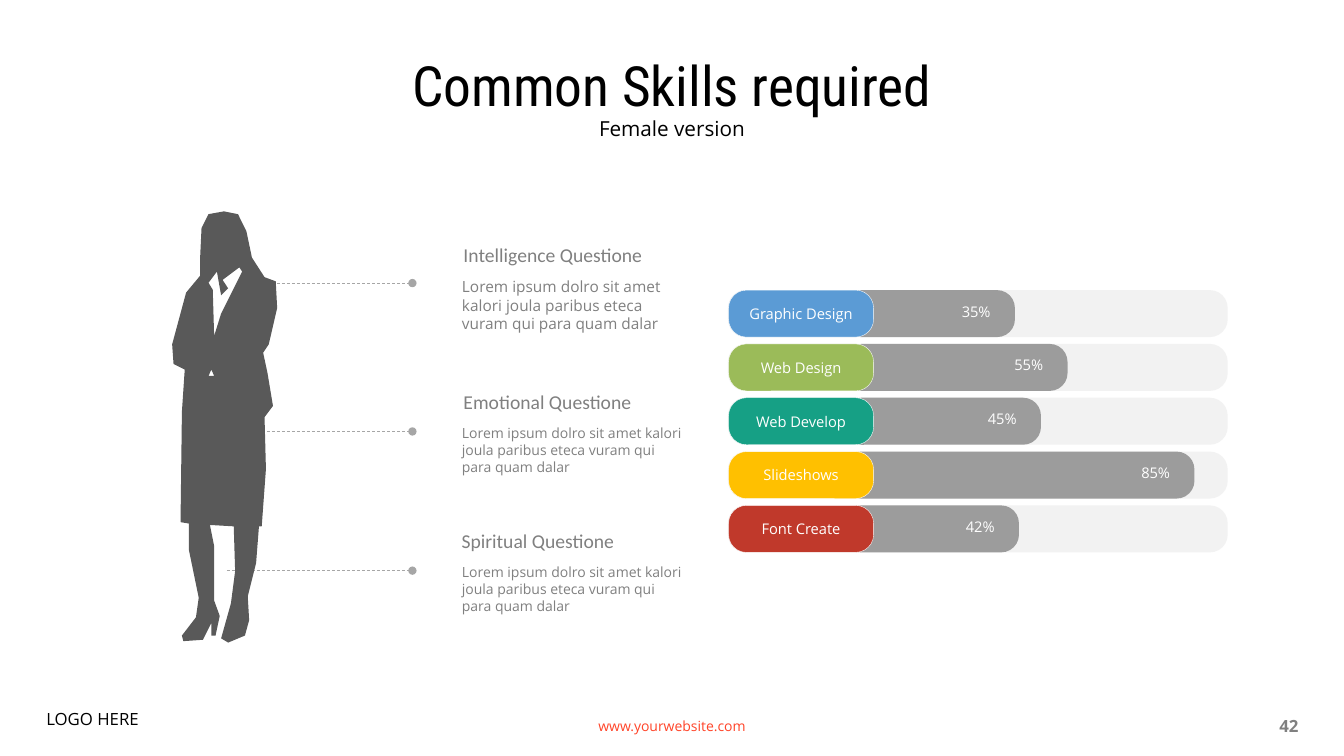
from lxml.etree import SubElement
from pptx import Presentation
from pptx.dml.color import RGBColor
from pptx.enum.dml import MSO_LINE
from pptx.enum.shapes import MSO_CONNECTOR, MSO_SHAPE
from pptx.enum.text import MSO_ANCHOR, MSO_AUTO_SIZE, PP_ALIGN
from pptx.oxml.ns import qn
from pptx.util import Pt

BLACK = RGBColor(0x00, 0x00, 0x00)
WHITE = RGBColor(0xFF, 0xFF, 0xFF)
GRAY = RGBColor(0x80, 0x80, 0x80)
LINE_GRAY = RGBColor(0xA6, 0xA6, 0xA6)
TRACK_GRAY = RGBColor(0xF2, 0xF2, 0xF2)
FIGURE_GRAY = RGBColor(0x59, 0x59, 0x59)
LINK_RED = RGBColor(0xFF, 0x44, 0x29)
BLUE = RGBColor(0x5B, 0x9B, 0xD5)
GREEN = RGBColor(0x9B, 0xBB, 0x59)
TEAL = RGBColor(0x16, 0xA0, 0x85)
YELLOW = RGBColor(0xFF, 0xC0, 0x00)
RED = RGBColor(0xC0, 0x39, 0x2B)

presentation = Presentation()
presentation.slide_width, presentation.slide_height = Pt(960), Pt(540)
slide = presentation.slides.add_slide(presentation.slide_layouts[5])


def write(shape, text, size, color, font="Open Sans", align=PP_ALIGN.LEFT,
          anchor=MSO_ANCHOR.TOP, inset=True):
    frame = shape.text_frame
    frame.word_wrap = True
    frame.auto_size = MSO_AUTO_SIZE.NONE
    frame.vertical_anchor = anchor
    if not inset:
        frame.margin_left = frame.margin_right = frame.margin_top = frame.margin_bottom = 0
    frame.text = text
    paragraph = frame.paragraphs[0]
    paragraph.alignment = align
    paragraph.font.size = Pt(size)
    paragraph.font.name = font
    paragraph.font.color.rgb = color
    return paragraph


def add_bar(left, top, width, color):
    shape = slide.shapes.add_shape(MSO_SHAPE.ROUNDED_RECTANGLE,
                                   Pt(left), Pt(top), Pt(width), Pt(33.6))
    shape.adjustments[0] = 0.38
    shape.shadow.inherit = False
    shape.fill.solid()
    shape.fill.fore_color.rgb = color
    shape.line.fill.background()
    return shape


# Title and subtitle
title = slide.shapes.title
title.left, title.top, title.width, title.height = Pt(66), Pt(44.6), Pt(828), Pt(37.4)
paragraph = write(title, "Common Skills required", 39.6, BLACK, "Roboto Condensed",
                  PP_ALIGN.CENTER, MSO_ANCHOR.MIDDLE)
paragraph.line_spacing = 0.9
subtitle = slide.shapes.add_textbox(Pt(66), Pt(82.8), Pt(828), Pt(23))
paragraph = write(subtitle, "Female version", 14.8, BLACK, align=PP_ALIGN.CENTER)
paragraph.line_spacing = 0.8

# Dashed leaders from the figure
for start, height in [(180, 202.2), (180, 308.2), (162, 407.6)]:
    leader = slide.shapes.add_connector(MSO_CONNECTOR.STRAIGHT, Pt(start), Pt(height),
                                        Pt(294.6), Pt(height))
    leader.line.color.rgb = LINE_GRAY
    leader.line.width = Pt(0.5)
    leader.line.dash_style = MSO_LINE.DASH
    SubElement(leader._element.spPr.find(qn("a:ln")), qn("a:tailEnd"), type="oval")
    SubElement(leader._element.spPr, qn("a:effectLst"))

# Questions
LOREM = "Lorem ipsum dolro sit amet kalori joula paribus eteca vuram qui para quam dalar"
questions = [
    ("Intelligence Questione", 324, 171.4, 11),
    ("Emotional Questione", 324, 276.5, 10),
    ("Spiritual Questione", 322.6, 375.8, 10),
]
for heading, left, top, body_size in questions:
    heading_box = slide.shapes.add_textbox(Pt(left), Pt(top), Pt(177), Pt(21))
    write(heading_box, heading, 14, GRAY, "Calibri", anchor=MSO_ANCHOR.MIDDLE)
    body_box = slide.shapes.add_textbox(Pt(330), Pt(top + 26.6), Pt(160.6), Pt(40))
    write(body_box, LOREM, body_size, GRAY, inset=False)

# Skill bars: label, colour, bar width, percentage
skills = [
    ("Graphic Design", BLUE, 122.4, "35%"),
    ("Web Design", GREEN, 160, "55%"),
    ("Web Develop", TEAL, 141, "45%"),
    ("Slideshows", YELLOW, 250.6, "85%"),
    ("Font Create", RED, 125.3, "42%"),
]
for row, (label, color, width, percent) in enumerate(skills):
    top = 207.2 + 38.45 * row
    add_bar(520, top, 357, TRACK_GRAY)
    level = add_bar(602.6, top, width, GRAY)
    level_color = level._element.spPr.find(qn("a:solidFill"))[0]
    SubElement(level_color, qn("a:alpha"), val="75000")
    tab = add_bar(520.4, top, 103.6, color)
    tab.line.color.rgb = WHITE
    tab.line.width = Pt(0.25)
    write(tab, label, 10.5, WHITE, align=PP_ALIGN.CENTER, anchor=MSO_ANCHOR.MIDDLE, inset=False)
    percent_box = slide.shapes.add_textbox(Pt(564.6 + width), Pt(top + 8.8), Pt(35.3), Pt(13))
    write(percent_box, percent, 10.5, WHITE, inset=False)

# Woman's silhouette with openings at the waist and blouse
body = [
    (192, 246), (198, 220), (197, 201), (189, 198), (180, 184), (176, 165), (170, 153),
    (160, 151), (149, 153), (144, 163), (143, 184), (143, 197), (133, 209), (123, 246),
    (124, 260), (132, 264), (130, 294), (129, 373), (135, 374), (135, 393), (142, 427),
    (140, 441), (130, 454), (131, 458), (145, 457), (151, 445), (151, 454), (154, 454),
    (157, 440), (153, 429), (153, 390), (150, 375), (167, 376), (168, 408), (165, 431),
    (158, 456), (163, 459), (175, 454), (178, 443), (177, 426), (183, 402), (185, 376),
    (187, 376), (190, 335), (189, 298), (195, 290), (191, 266), (188, 252),
]
waist = [(149, 268.5), (151, 264), (153, 268.5)]
blouse = [(173, 194), (158, 224), (153, 240), (152, 207), (149, 202), (155, 194),
          (158, 211), (163, 206), (159, 200), (171, 191)]
builder = slide.shapes.build_freeform(Pt(body[0][0]), Pt(body[0][1]))
for outline in (body, waist, blouse):
    points = [(Pt(x), Pt(y)) for x, y in outline]
    if outline is not body:
        builder.move_to(*points[0])
    builder.add_line_segments(points[1:], close=True)
woman = builder.convert_to_shape()
woman.shadow.inherit = False
woman.fill.solid()
woman.fill.fore_color.rgb = FIGURE_GRAY
woman.line.fill.background()

# Footer
website = slide.shapes.add_textbox(Pt(318), Pt(504), Pt(324), Pt(28.8))
write(website, "www.yourwebsite.com", 10, LINK_RED, align=PP_ALIGN.CENTER, anchor=MSO_ANCHOR.MIDDLE)
page_number = slide.shapes.add_textbox(Pt(707.8), Pt(504), Pt(226.8), Pt(28.8))
paragraph = write(page_number, "42", 12, GRAY, align=PP_ALIGN.RIGHT, anchor=MSO_ANCHOR.MIDDLE)
paragraph.font.bold = True
logo = slide.shapes.add_textbox(Pt(26), Pt(504), Pt(300), Pt(31))
paragraph = write(logo, "LOGO HERE", 12, BLACK)
paragraph.line_spacing = 0.9

presentation.save("out.pptx")
